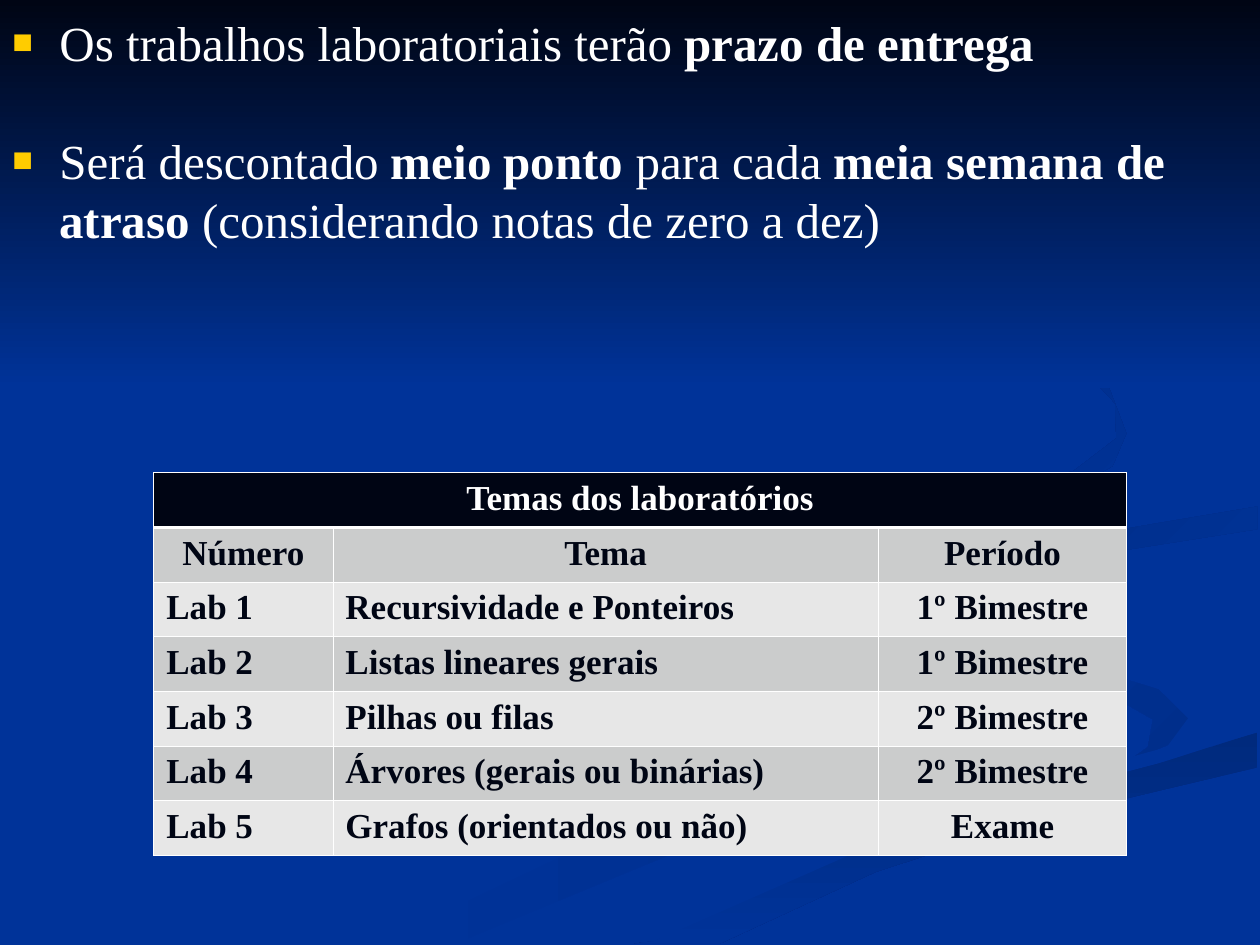
from lxml import etree
from pptx import Presentation
from pptx.dml.color import RGBColor
from pptx.enum.shapes import MSO_SHAPE
from pptx.enum.text import PP_ALIGN
from pptx.oxml import parse_xml
from pptx.oxml.ns import nsdecls, qn
from pptx.util import Cm, Pt

RECTANGLE = MSO_SHAPE.RECTANGLE
LEFT, CENTER = PP_ALIGN.LEFT, PP_ALIGN.CENTER

BLUE = RGBColor(0x00, 0x33, 0x99)
NIGHT = RGBColor(0x00, 0x05, 0x14)
WHITE = RGBColor(0xFF, 0xFF, 0xFF)
GOLD = RGBColor(0xFF, 0xCC, 0x00)
GRAY = RGBColor(0xCB, 0xCC, 0xCC)
PALE = RGBColor(0xE7, 0xE7, 0xE7)
SHADE_SOFT = RGBColor(0x00, 0x2E, 0x8B)
SHADE_MID = RGBColor(0x00, 0x2D, 0x86)
SHADE_DEEP = RGBColor(0x00, 0x2B, 0x82)
SHADE_DARK = RGBColor(0x00, 0x2A, 0x7D)
FONT = "Times New Roman"

RULES = [
    [("Os trabalhos laboratoriais terão ", False), ("prazo de entrega", True)],
    [("Será descontado ", False), ("meio ponto", True), (" para cada ", False),
     ("meia semana de atraso", True), (" (considerando notas de zero a dez)", False)],
]
TABLE_TITLE = "Temas dos laboratórios"
HEADINGS = ("Número", "Tema", "Período")
LABS = [
    ("Lab 1", "Recursividade e Ponteiros", "1º Bimestre"),
    ("Lab 2", "Listas lineares gerais", "1º Bimestre"),
    ("Lab 3", "Pilhas ou filas", "2º Bimestre"),
    ("Lab 4", "Árvores (gerais ou binárias)", "2º Bimestre"),
    ("Lab 5", "Grafos (orientados ou não)", "Exame"),
]
COLUMN_WIDTHS = (3.61, 11.0, 5.0)
ROW_HEIGHT = 1.1

SWIRL_UNIT = Cm(0.0254)
SWIRLS = [
    ((BLUE, SHADE_SOFT, 0), [
        (781, 553), (602, 490), (575, 459), (576, 480), (781, 556), (759, 590),
        (458, 674), (300, 749), (361, 749), (564, 665), (786, 601), (800, 581)]),
    ((BLUE, SHADE_SOFT, 45), [
        (943, 570), (919, 547), (774, 503), (724, 464), (746, 500), (868, 544),
        (915, 571), (911, 593), (894, 605), (932, 589)]),
    ((SHADE_DARK, BLUE, 90), [
        (503, 749), (571, 749), (695, 692), (821, 651), (998, 609), (998, 581),
        (920, 606), (764, 647), (630, 693), (519, 747)]),
    ((BLUE, BLUE, 0), [
        (725, 464), (745, 490), (920, 547), (943, 570), (926, 593), (743, 643),
        (573, 703), (477, 749), (519, 747), (696, 669), (999, 581), (999, 538),
        (848, 503), (781, 463), (822, 434), (999, 402), (999, 387), (770, 427)]),
    ((SHADE_MID, BLUE, 45), [
        (781, 460), (791, 478), (826, 496), (805, 476), (816, 459), (878, 439),
        (998, 420), (998, 402), (849, 427), (791, 447)]),
    ((SHADE_DEEP, BLUE, 45), [
        (683, 430), (825, 402), (883, 370), (894, 344), (880, 307), (843, 275),
        (762, 233), (846, 279), (885, 320), (886, 348), (852, 374), (649, 420),
        (578, 456), (622, 500), (593, 470), (624, 444)]),
]


def write(paragraph, text, size=20, color=WHITE, bold=True, align=LEFT):
    paragraph.alignment = align
    run = paragraph.add_run()
    run.text = text
    run.font.name = FONT
    run.font.size = Pt(size)
    run.font.bold = bold
    run.font.color.rgb = color


def shade(shape, start, end, angle):
    shape.shadow.inherit = False
    shape.line.fill.background()
    if start == end:
        shape.fill.solid()
        shape.fill.fore_color.rgb = start
        return
    shape.fill.gradient()
    shape.fill.gradient_angle = 360 - angle if angle else 0
    for stop, color in zip(shape.fill.gradient_stops, (start, end)):
        stop.color.rgb = color


def add_bullet(paragraph, indent):
    properties = paragraph._p.get_or_add_pPr()
    properties.set("marL", str(indent))
    properties.set("indent", str(-indent))
    for xml in (f'<a:buClr {nsdecls("a")}><a:srgbClr val="{GOLD}"/></a:buClr>',
                f'<a:buSzPct {nsdecls("a")} val="70000"/>',
                f'<a:buFont {nsdecls("a")} typeface="{FONT}"/>',
                f'<a:buChar {nsdecls("a")} char="■"/>'):
        properties.append(parse_xml(xml))


def set_borders(cell, **widths):
    properties = cell._tc.get_or_add_tcPr()
    for side in "LRTB":
        line = etree.SubElement(properties, qn(f"a:ln{side}"), w=str(Pt(widths.get(side, 0.45))))
        fill = etree.SubElement(line, qn("a:solidFill"))
        etree.SubElement(fill, qn("a:srgbClr"), val=str(WHITE))


def add_background(slide, width):
    slide.background.fill.solid()
    slide.background.fill.fore_color.rgb = BLUE
    for colors, points in SWIRLS:
        builder = slide.shapes.build_freeform(*points[0], scale=SWIRL_UNIT)
        builder.add_line_segments(points[1:], close=True)
        shade(builder.convert_to_shape(), *colors)
    shade(slide.shapes.add_shape(RECTANGLE, 0, 0, width, Cm(7.82)), NIGHT, BLUE, 90)


def add_rules(slide, width, height):
    frame = slide.shapes.add_textbox(0, 0, width, height).text_frame
    frame.word_wrap = True
    frame.margin_top = Cm(0.25)
    for index, parts in enumerate(RULES):
        paragraph = frame.add_paragraph() if index else frame.paragraphs[0]
        add_bullet(paragraph, Cm(0.95))
        if index:
            paragraph.space_before = Pt(34)
        for text, bold in parts:
            write(paragraph, text, size=28, bold=bold)


def add_labs(slide):
    rows = [(TABLE_TITLE, "", ""), HEADINGS, *LABS]
    table = slide.shapes.add_table(len(rows), len(HEADINGS), Cm(3.1), Cm(9.53),
                                   Cm(sum(COLUMN_WIDTHS)), Cm(ROW_HEIGHT * len(rows))).table
    table.first_row = table.horz_banding = False
    for column, width in zip(table.columns, COLUMN_WIDTHS):
        column.width = Cm(width)
    table.cell(0, 0).merge(table.cell(0, len(HEADINGS) - 1))
    for r, row in enumerate(rows):
        table.rows[r].height = Cm(ROW_HEIGHT)
        for c, text in enumerate(row):
            cell = table.cell(r, c)
            set_borders(cell, **{0: {"B": 1.47}, 1: {"T": 1.47}}.get(r, {}))
            cell.fill.solid()
            cell.fill.fore_color.rgb = NIGHT if r == 0 else GRAY if r % 2 else PALE
            if text:
                write(cell.text_frame.paragraphs[0], text, color=NIGHT if r else WHITE,
                      align=CENTER if r < 2 or c == 2 else LEFT)


def main():
    presentation = Presentation()
    width = presentation.slide_width = Cm(25.4)
    height = presentation.slide_height = Cm(19.05)
    slide = presentation.slides.add_slide(presentation.slide_layouts[6])
    add_background(slide, width)
    add_rules(slide, width, height)
    add_labs(slide)
    presentation.save("out.pptx")


if __name__ == "__main__":
    main()
